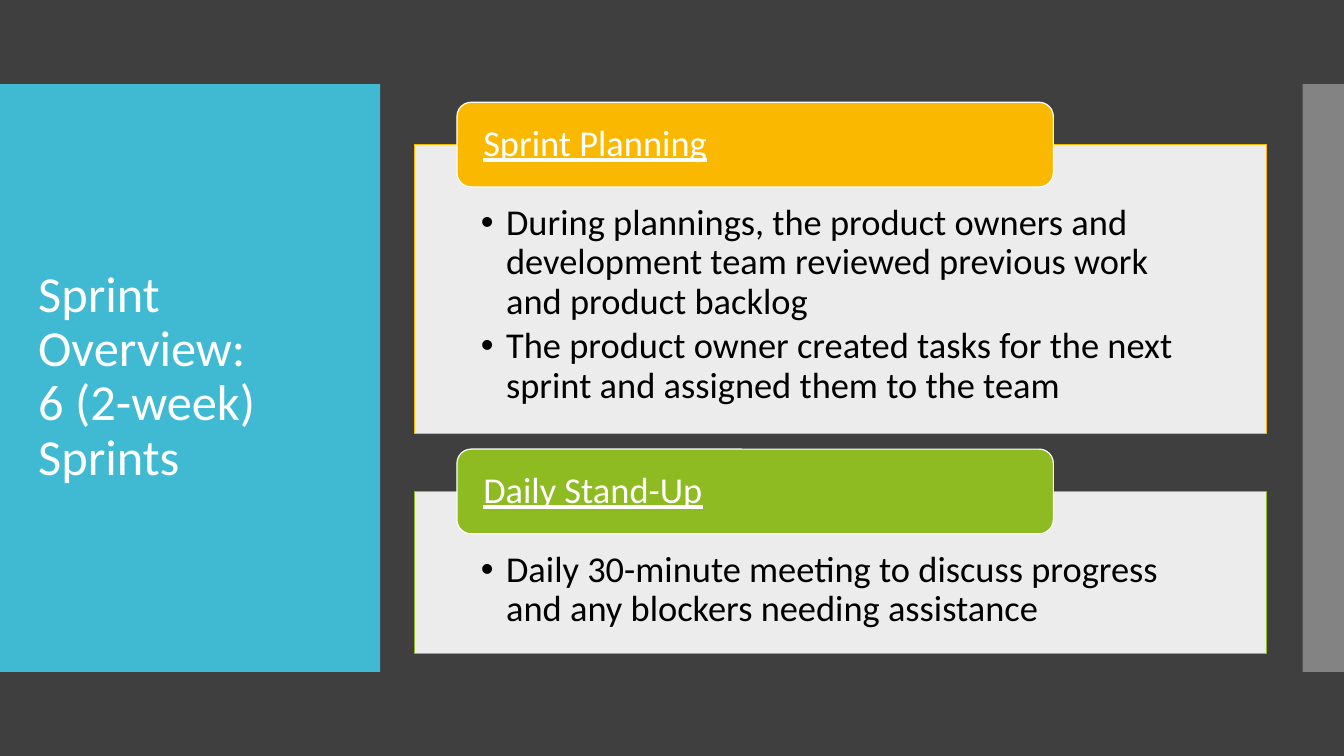
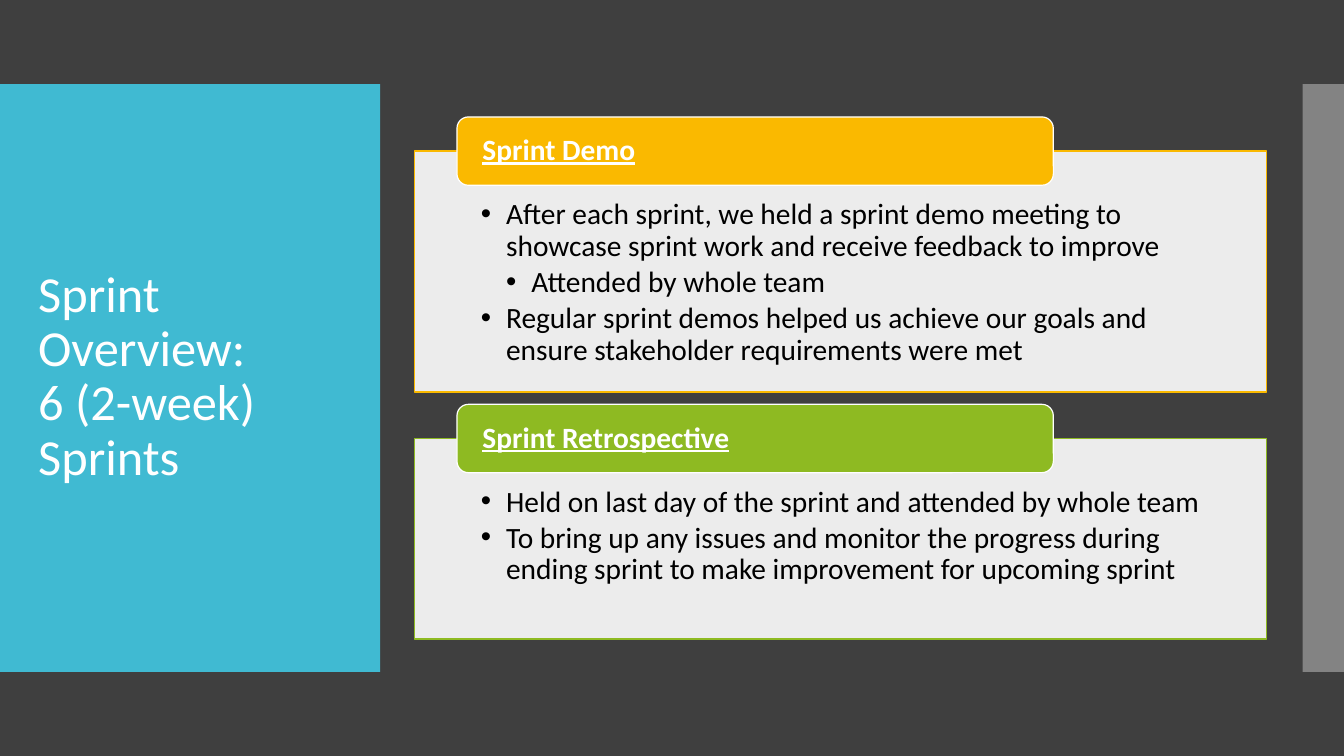
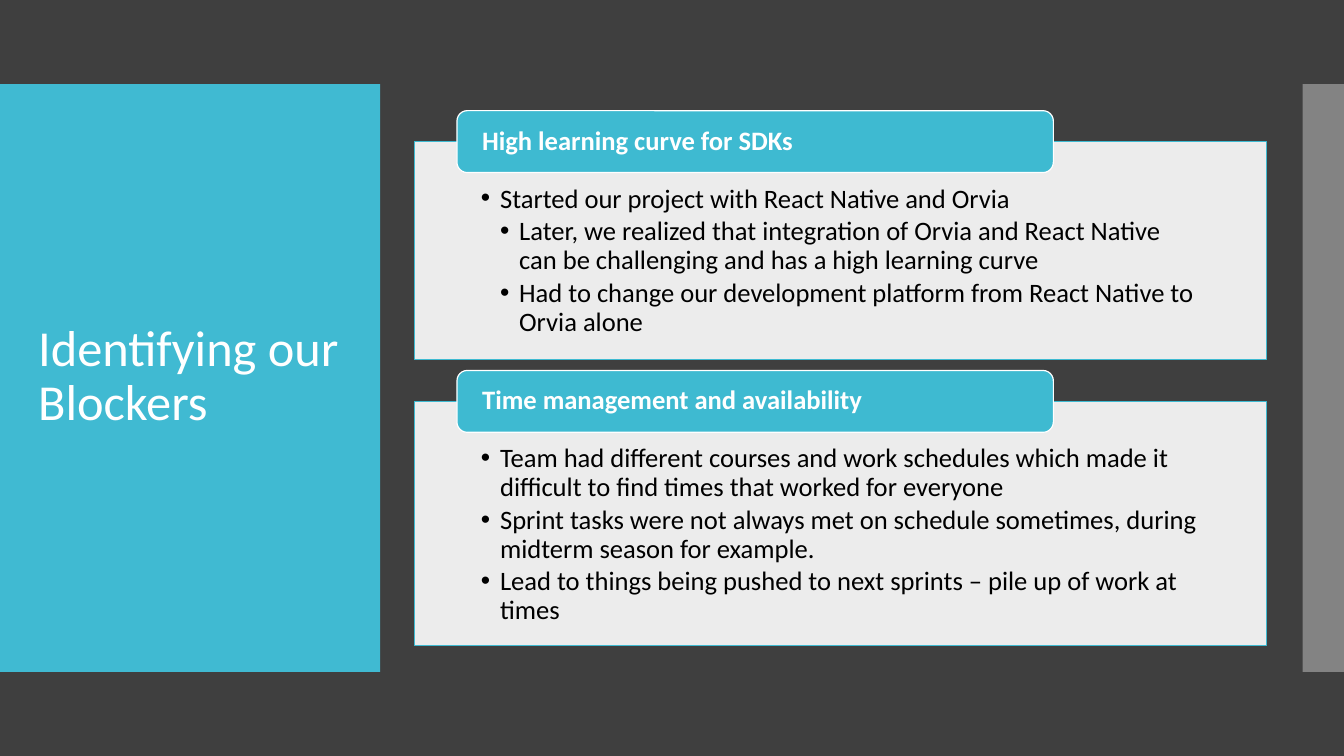
from lxml.etree import SubElement
from pptx import Presentation
from pptx.dml.color import RGBColor
from pptx.enum.shapes import MSO_SHAPE
from pptx.enum.text import MSO_ANCHOR, PP_ALIGN
from pptx.oxml.ns import qn
from pptx.util import Inches, Pt

SLIDE_W, SLIDE_H = 13.33, 7.5
BAND_TOP, BAND_H = SLIDE_H / 9, SLIDE_H * 7 / 9
PANEL_LEFT, PANEL_W = 4.11, 8.45
TAG_LEFT, TAG_W = PANEL_LEFT + PANEL_W * 0.05, PANEL_W * 0.7

FONT = "Calibri"
DARK, TEAL, GRAY = "3F3F3F", "40BAD2", "C8C8C8"
WHITE, BLACK = "FFFFFF", "000000"
AMBER, GREEN, AQUA = "FAB900", "8EBA22", "3EBAD1"


def paint(fill, color, opacity=100):
    fill.solid()
    fill.fore_color.rgb = RGBColor.from_string(color)
    if opacity < 100:
        srgb = fill._xPr.find(qn("a:solidFill"))[0]
        SubElement(srgb, qn("a:alpha"), val=str(opacity * 1000))


def add_block(slide, kind, box, color, opacity=100, outline=None):
    block = slide.shapes.add_shape(kind, *map(Inches, box))
    block.shadow.inherit = False
    paint(block.fill, color, opacity)
    if outline:
        paint(block.line.fill, outline)
        block.line.width = Pt(0.85)
    else:
        block.line.fill.background()
    return block


def set_frame(shape, anchor, left, top, right, bottom):
    frame = shape.text_frame
    frame.word_wrap = True
    frame.vertical_anchor = anchor
    frame.margin_left, frame.margin_top = Inches(left), Inches(top)
    frame.margin_right, frame.margin_bottom = Inches(right), Inches(bottom)
    return frame


def write(paragraph, text, size, color, bold=False, underline=False):
    paragraph.alignment = PP_ALIGN.LEFT
    paragraph.line_spacing = 0.9
    for number, line in enumerate(text.split("\n")):
        if number:
            paragraph.add_line_break()
        run = paragraph.add_run()
        run.text = line
        font = run.font
        font.name, font.size = FONT, Pt(size)
        font.bold, font.underline = bold, underline
        font.color.rgb = RGBColor.from_string(color)


def add_bullet(paragraph, level, indent):
    properties = paragraph._p.get_or_add_pPr()
    properties.set("marL", str(Inches(indent * level)))
    properties.set("indent", str(-Inches(indent)))
    SubElement(properties, qn("a:buFont"), typeface="Arial")
    SubElement(properties, qn("a:buChar"), char="•")


def add_base(prs, title):
    """Add a slide with the side bands and its title."""
    slide = prs.slides.add_slide(prs.slide_layouts[6])
    paint(slide.background.fill, DARK)
    add_block(slide, MSO_SHAPE.RECTANGLE, (0, BAND_TOP, 3.77, BAND_H), TEAL)
    add_block(slide, MSO_SHAPE.RECTANGLE,
              (12.92, BAND_TOP, SLIDE_W - 12.92, BAND_H), GRAY, 50)
    title_box = slide.shapes.add_textbox(*map(Inches, (0.28, 1.23, 3.22, 5.03)))
    frame = set_frame(title_box, MSO_ANCHOR.MIDDLE, 0.1, 0.05, 0.1, 0.05)
    write(frame.paragraphs[0], title, 36, WHITE)
    return slide


def add_panel(slide, top, height, color, bullets, size, indent):
    panel = add_block(slide, MSO_SHAPE.RECTANGLE,
                      (PANEL_LEFT, top, PANEL_W, height), WHITE, 90, color)
    frame = set_frame(panel, MSO_ANCHOR.TOP, 0.66, size / 44, 0.66, size / 130)
    for number, (level, text) in enumerate(bullets):
        paragraph = frame.add_paragraph() if number else frame.paragraphs[0]
        add_bullet(paragraph, level, indent)
        if number:
            paragraph.space_before = Pt(round(size * 0.15, 1))
        write(paragraph, text, size, BLACK)


def add_tag(slide, top, height, color, heading, size, bold, underline):
    tag = add_block(slide, MSO_SHAPE.ROUNDED_RECTANGLE,
                    (TAG_LEFT, top, TAG_W, height), color, outline=WHITE)
    frame = set_frame(tag, MSO_ANCHOR.MIDDLE, 0.22, 0, 0.22, 0)
    write(frame.paragraphs[0], heading, size, WHITE, bold, underline)


def add_sections(slide, sections, size, indent, bold=True, underline=True):
    """Stack tagged panels, centred on the slide's height."""
    tag_h = size * 0.0323
    gap = tag_h * 0.18
    total = sum(tag_h / 2 + section[2] for section in sections)
    top = (SLIDE_H - total - gap * (len(sections) - 1)) / 2
    for heading, color, height, bullets in sections:
        panel_top = top + tag_h / 2
        add_panel(slide, panel_top, height, color, bullets, size, indent)
        add_tag(slide, top, tag_h, color, heading, size, bold, underline)
        top = panel_top + height + gap


def main():
    prs = Presentation()
    prs.slide_width, prs.slide_height = Inches(SLIDE_W), Inches(SLIDE_H)
    overview = "Sprint Overview:\n6 (2-week) Sprints"

    add_sections(add_base(prs, overview), [
        ("Sprint Planning", AMBER, 2.87, [
            (1, "During plannings, the product owners and development team "
                "reviewed previous work and product backlog"),
            (1, "The product owner created tasks for the next sprint and "
                "assigned them to the team")]),
        ("Daily Stand-Up", GREEN, 1.61, [
            (1, "Daily 30-minute meeting to discuss progress and any blockers "
                "needing assistance")]),
    ], size=26, indent=0.25, bold=False)

    add_sections(add_base(prs, overview), [
        ("Sprint Demo", AMBER, 2.39, [
            (1, "After each sprint, we held a sprint demo meeting to showcase "
                "sprint work and receive feedback to improve"),
            (2, "Attended by whole team"),
            (1, "Regular sprint demos helped us achieve our goals and ensure "
                "stakeholder requirements were met")]),
        ("Sprint Retrospective", GREEN, 1.99, [
            (1, "Held on last day of the sprint and attended by whole team"),
            (1, "To bring up any issues and monitor the progress during ending "
                "sprint to make improvement for upcoming sprint")]),
    ], size=21, indent=0.25)

    add_sections(add_base(prs, "Identifying our Blockers"), [
        ("High learning curve for SDKs", AQUA, 2.16, [
            (1, "Started our project with React Native and Orvia"),
            (2, "Later, we realized that integration of Orvia and React Native "
                "can be challenging and has a high learning curve"),
            (2, "Had to change our development platform from React Native to "
                "Orvia alone")]),
        ("Time management and availability", AQUA, 2.42, [
            (1, "Team had different courses and work schedules which made it "
                "difficult to find times that worked for everyone"),
            (1, "Sprint tasks were not always met on schedule sometimes, during "
                "midterm season for example."),
            (1, "Lead to things being pushed to next sprints – pile up of work "
                "at times")]),
    ], size=19, indent=0.19, underline=False)

    prs.save("out.pptx")


if __name__ == "__main__":
    main()
